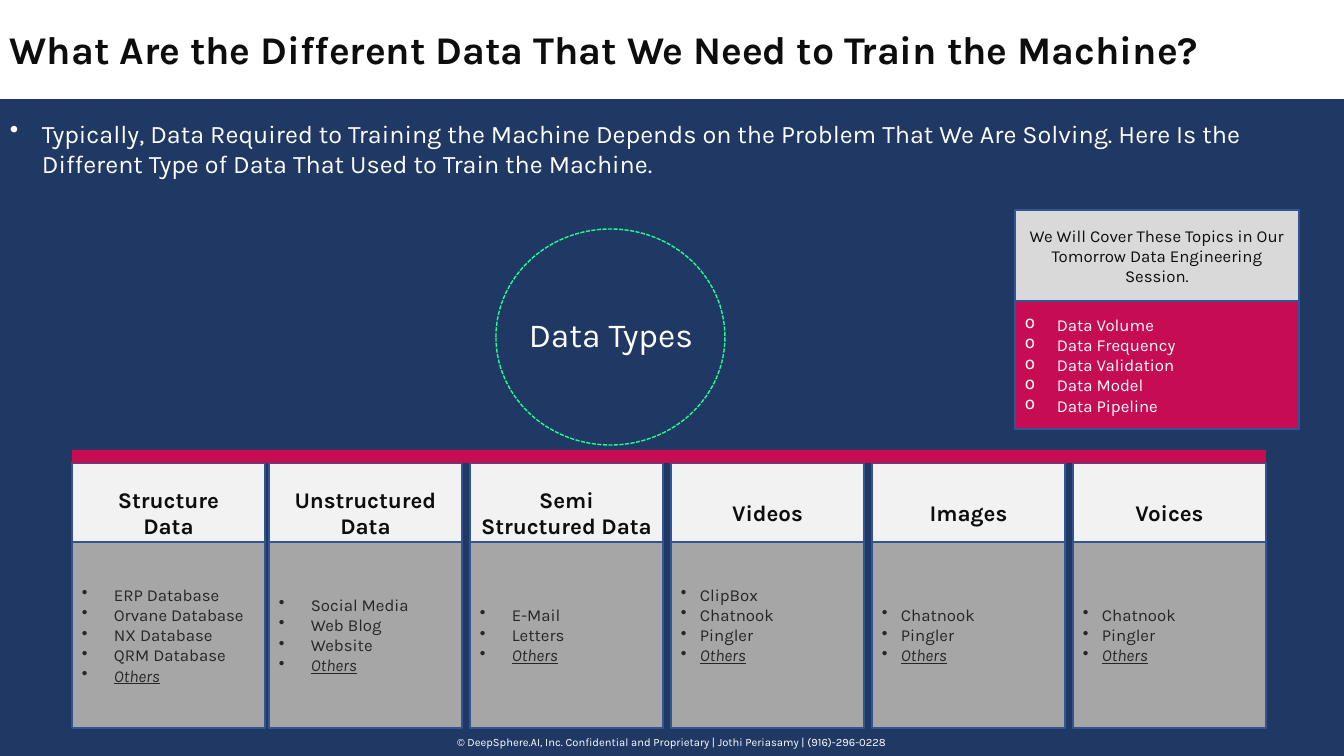
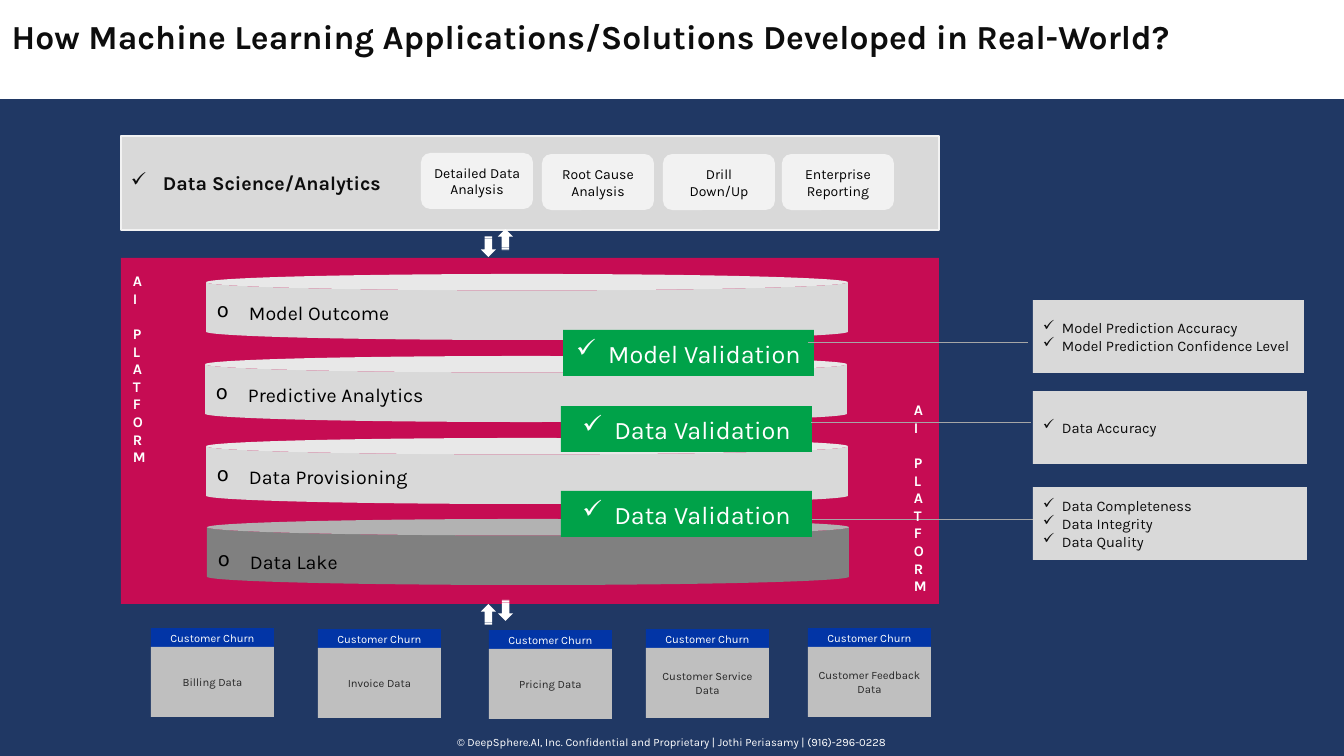
"""Build two slides on the data and the platform behind machine learning."""
from pptx import Presentation
from pptx.dml.color import RGBColor
from pptx.enum.dml import MSO_LINE
from pptx.enum.shapes import MSO_CONNECTOR, MSO_SHAPE as Kind
from pptx.enum.text import MSO_ANCHOR as Anchor, PP_ALIGN as Align
from pptx.oxml.ns import qn
from pptx.util import Pt
from lxml.etree import SubElement

PX = 914400 / 100.8
FONT = "Karla"
HUES = {
    "navy": "203864", "white": "FFFFFF", "black": "000000", "ink": "0D0D0D",
    "soft": "262626", "red": "C60C53", "edge": "325491", "pale": "F2F2F2",
    "light": "D9D9D9", "silver": "BFBFBF", "gray": "A6A6A6", "dark": "808080",
    "mint": "1DFF8E", "green": "00A249", "blue": "0235A6",
}
COLOR = {name: RGBColor.from_string(code) for name, code in HUES.items()}


def box(slide, kind, at, fill=None, line=None):
    """Add a preset shape, or a text box when kind is None."""
    area = [round(n * PX) for n in at]
    if kind is None:
        shape = slide.shapes.add_textbox(*area)
        shape.text_frame.word_wrap = True
        return shape
    shape = slide.shapes.add_shape(kind, *area)
    shape.shadow.inherit = False
    if fill:
        shape.fill.solid()
        shape.fill.fore_color.rgb = COLOR[fill]
    else:
        shape.fill.background()
    if line:
        shape.line.color.rgb = COLOR[line]
        shape.line.width = Pt(1)
    else:
        shape.line.fill.background()
    shape.text_frame.vertical_anchor = Anchor.MIDDLE
    return shape


def write(shape, lines, size, color, bold=False, align=Align.LEFT, mark=None, indent=32):
    """Fill a shape with one paragraph per line."""
    frame = shape.text_frame
    for i, line in enumerate(lines):
        para = frame.paragraphs[0] if i == 0 else frame.add_paragraph()
        para.alignment = align
        if mark:
            props = para._p.get_or_add_pPr()
            props.set("marL", str(round(indent * PX)))
            props.set("indent", str(-round(indent * PX)))
            SubElement(props, qn("a:buChar")).set("char", mark)
        run = para.add_run()
        run.text = line
        font = run.font
        font.name, font.size, font.bold = FONT, Pt(size), bold
        font.color.rgb = COLOR[color]
        if line == "Others":
            font.italic = font.underline = True


deck = Presentation()
deck.slide_width, deck.slide_height = round(1344 * PX), round(756 * PX)
MID = Align.CENTER

heads = [
    ("What Are the Different Data That We Need to Train the Machine?",
     (0, 20, 1244, 58), 28, Align.LEFT),
    ("How Machine Learning Applications/Solutions Developed in Real-World?",
     (0, 11, 1181, 50), 24, MID),
]
for title, at, size, align in heads:
    slide = deck.slides.add_slide(deck.slide_layouts[6])
    slide.background.fill.solid()
    slide.background.fill.fore_color.rgb = COLOR["navy"]
    box(slide, Kind.RECTANGLE, (0, 0, 1344, 99), "white")
    write(box(slide, None, at), [title], size, "ink", True, align)
    write(box(slide, None, (0, 730, 1344, 24)),
          ["© DeepSphere.AI, Inc. Confidential and Proprietary | Jothi Periasamy | (916)-296-0228"],
          8, "white", align=MID)
types, build = deck.slides

write(box(types, None, (0, 113, 1343, 72)),
      ["Typically, Data Required to Training the Machine Depends on the Problem That We Are "
       "Solving. Here Is the Different Type of Data That Used to Train the Machine."],
      18, "white", mark="•")
ring = box(types, Kind.OVAL, (496, 229, 229, 216), line="mint")
ring.line.dash_style = MSO_LINE.SQUARE_DOT
write(box(types, None, (504, 309, 214, 50)), ["Data Types"], 24, "white", align=MID)

columns = [
    (["Structure", "Data"], 32, 0,
     ["ERP Database", "Orvane Database", "NX Database", "QRM Database", "Others"]),
    (["Unstructured", "Data"], 32, 0, ["Social Media", "Web Blog", "Website", "Others"]),
    (["Semi Structured Data"], 32, 0, ["E-Mail", "Letters", "Others"]),
    (["Videos"], 19, 20, ["ClipBox", "Chatnook", "Pingler", "Others"]),
    (["Images"], 19, 0, ["Chatnook", "Pingler", "Others"]),
    (["Voices"], 19, 0, ["Chatnook", "Pingler", "Others"]),
]
for i, (head, indent, lift, items) in enumerate(columns):
    x = max(72, 68 + 201 * i)
    write(box(types, Kind.RECTANGLE, (x, 463, 193, 99), "pale", "edge"),
          head, 16, "ink", True, MID)
    body = box(types, Kind.RECTANGLE, (x, 542, 193, 186), "gray", "edge")
    body.text_frame.margin_bottom = round((5 + lift) * PX)
    write(body, items, 12, "soft", mark="•", indent=indent)
box(types, Kind.RECTANGLE, (72, 450, 1194, 13), "red")

write(box(types, Kind.RECTANGLE, (1015, 210, 284, 91), "light", "edge"),
      ["We Will Cover These Topics in Our Tomorrow Data Engineering Session."],
      12, "ink", align=MID)
write(box(types, Kind.RECTANGLE, (1015, 301, 284, 128), "red", "edge"),
      ["Data Volume", "Data Frequency", "Data Validation", "Data Model", "Data Pipeline"],
      12, "white", mark="o")

box(build, Kind.RECTANGLE, (121, 258, 818, 346), "red")
layers = [
    (207, 519, 545, "dark", "Data Lake"),
    (206, 438, 460, "light", "Data Provisioning"),
    (205, 356, 378, "light", "Predictive Analytics"),
    (206, 274, 296, "light", "Model Outcome"),
]
for x, y, low, fill, name in layers:
    box(build, Kind.CAN, (x, y, 642, 66), fill)
    write(box(build, None, (x + 1, low, 640, 34)), [name], 14, "black", mark="o")

write(box(build, Kind.RECTANGLE, (121, 136, 818, 94), "light", "pale"),
      ["Data Science/Analytics"], 14, "ink", True, mark="✓")
cards = [
    (421, 153, ["Detailed Data", "Analysis"]),
    (542, 154, ["Root Cause Analysis"]),
    (663, 154, ["Drill", "Down/Up"]),
    (782, 154, ["Enterprise Reporting"]),
]
for x, y, lines in cards:
    write(box(build, Kind.ROUNDED_RECTANGLE, (x, y, 112, 56), "pale"),
          lines, 10, "black", align=MID)

checks = [
    (561, 491, "Data Validation", (812, 1033, 519), (487, 274),
     ["Data Completeness", "Data Integrity", "Data Quality"]),
    (561, 406, "Data Validation", (811, 1031, 422), (391, 274), ["Data Accuracy"]),
    (563, 330, "Model Validation", (808, 1028, 342), (300, 271),
     ["Model Prediction Accuracy", "Model Prediction Confidence Level"]),
]
for x, y, name, (start, end, level), (top, wide), notes in checks:
    write(box(build, Kind.RECTANGLE, (x, y, 251, 46), "green"),
          [name], 18, "white", align=MID, mark="✓")
    link = build.shapes.add_connector(
        MSO_CONNECTOR.STRAIGHT, *[round(n * PX) for n in (start, level, end, level)])
    link.line.color.rgb = COLOR["gray"]
    link.line.width = Pt(0.5)
    SubElement(link._element.spPr, qn("a:effectLst"))
    write(box(build, Kind.RECTANGLE, (1033, top, wide, 73), "light"),
          notes, 10.5, "ink", mark="✓", indent=19)

for at in [(123, 267, 38, 206), (904, 396, 31, 206)]:
    side = box(build, None, at)
    write(side, "AIPLATFORM", 10.5, "white", True)
    side.text_frame.paragraphs[2].space_before = Pt(12.5)

for x, y, turn in [(478, 239, 90), (495, 232, 270), (478, 607, 270), (495, 603, 90)]:
    box(build, Kind.STRIPED_RIGHT_ARROW, (x, y, 21, 15), "white").rotation = turn

feeds = [
    (151, 628, "Billing Data"),
    (318, 629, "Invoice Data"),
    (489, 630, "Pricing Data"),
    (646, 629, "Customer Service Data"),
    (808, 628, "Customer Feedback Data"),
]
for x, y, name in feeds:
    write(box(build, Kind.RECTANGLE, (x, y, 123, 19), "blue"),
          ["Customer Churn"], 8, "white", align=MID)
    write(box(build, Kind.RECTANGLE, (x, y + 19, 123, 70), "silver"),
          [name], 8, "soft", align=MID)

deck.save("out.pptx")
